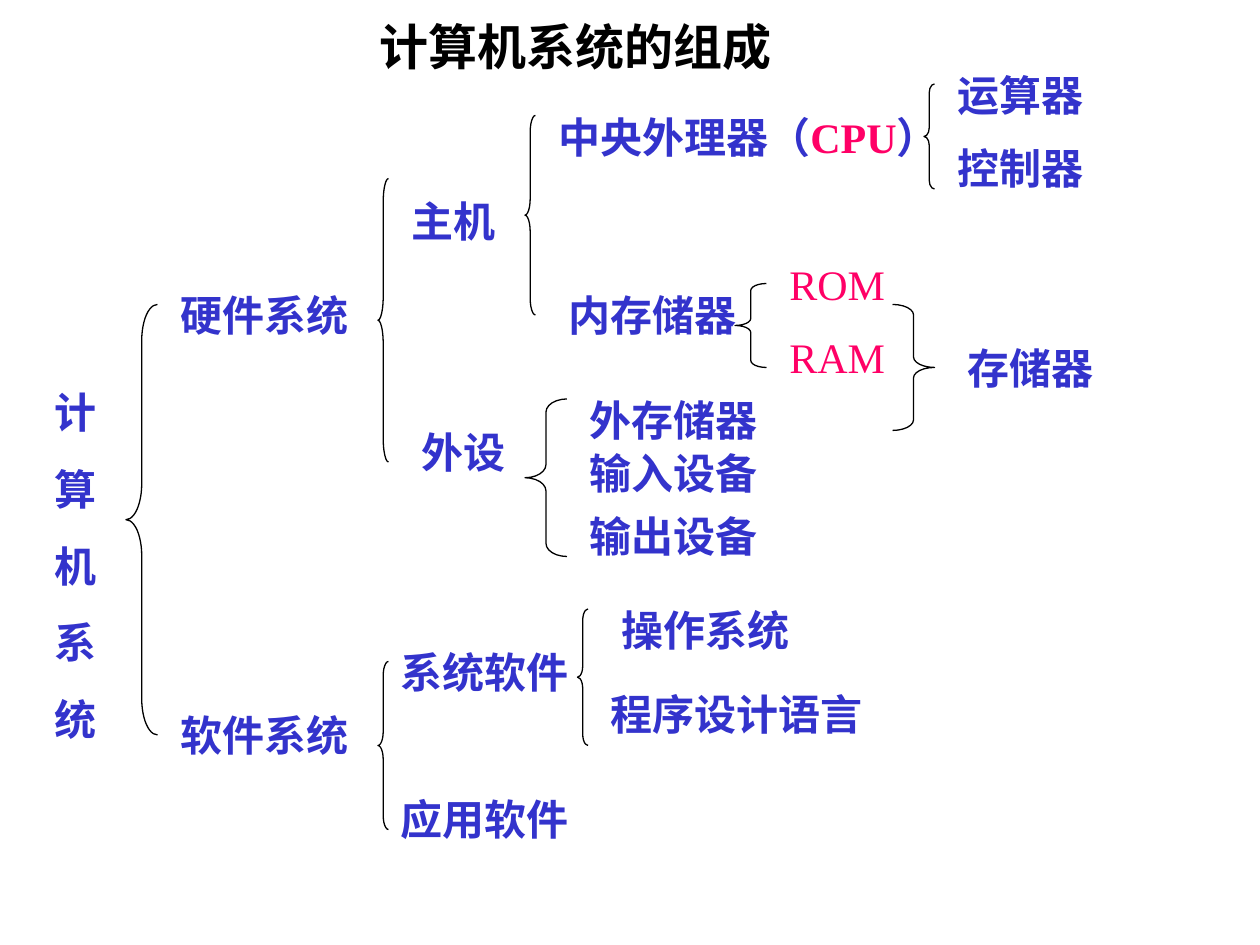
from pptx import Presentation
from pptx.dml.color import RGBColor
from pptx.enum.shapes import MSO_SHAPE
from pptx.enum.text import MSO_AUTO_SIZE
from pptx.util import Inches, Pt

deck = Presentation()
deck.slide_width, deck.slide_height = Inches(10), Inches(7.5)
slide = deck.slides.add_slide(deck.slide_layouts[6])

# Grid of 120 columns by 90 rows
cell = deck.slide_width / 120
BLUE, PINK, BLACK = "3333CC", "FF0066", "000000"


def paint(color, tone):
    color.rgb = RGBColor.from_string(tone)


def write(col, row, wide, high, lines, size=24, bold=True):
    """Each line is a list of (text, colour) runs."""
    box = slide.shapes.add_textbox(*(round(n * cell) for n in (col, row, wide, high)))
    frame = box.text_frame
    frame.word_wrap = True
    frame.auto_size = MSO_AUTO_SIZE.SHAPE_TO_FIT_TEXT
    style = {"name": "Times New Roman", "size": Pt(size), "bold": bold}
    for i, line in enumerate(lines):
        para = frame.add_paragraph() if i else frame.paragraphs[0]
        para.space_before = Pt(size * 0.625)
        for text, tone in line:
            run = para.add_run()
            run.text = text
            for key, value in style.items():
                setattr(run.font, key, value)
            paint(run.font.color, tone)


# Title and the upright root of the tree
write(35, 1, 53, 7, [[("计算机系统的组成", BLACK)]], size=28)
write(4, 36.25, 11, 35.25, [[(sign, BLUE)] for sign in "计算机系统"])

# Blue branches: column, row, width, text
nodes = [
    (16, 27, 25, "硬件系统"), (16, 67, 36, "软件系统"),
    (38, 18, 19, "主机"), (39, 40, 23, "外设"),
    (90, 6, 21, "运算器"), (90, 13, 21, "控制器"),
    (53, 27, 31, "内存储器"), (91, 32, 21, "存储器"),
    (55, 37, 20, "外存储器"), (55, 42, 24, "输入设备"), (55, 48, 25, "输出设备"),
    (37, 61, 26, "系统软件"), (37, 75, 31, "应用软件"),
    (58, 57, 33, "操作系统"), (57, 65, 35, "程序设计语言"),
]
for col, row, wide, text in nodes:
    write(col, row, wide, 6, [[(text, BLUE)]])

# Terms in pink
write(52, 10, 43, 6, [[("中央外理器（", BLUE), ("CPU", PINK), ("）", BLUE)]])
for row, wide, text in [(24, 22, "ROM"), (31, 14, "RAM")]:
    write(74, row, wide, 6, [[(text, PINK)]], bold=False)

# Braces: kind, column, row, width, height
LEFT, RIGHT = MSO_SHAPE.LEFT_BRACE, MSO_SHAPE.RIGHT_BRACE
braces = [
    (LEFT, 12, 29, 3, 41), (LEFT, 36, 17, 1, 27), (LEFT, 50, 11, 1, 19),
    (LEFT, 88, 8, 1, 10), (LEFT, 70, 27, 3, 8), (LEFT, 50, 38, 4, 15),
    (RIGHT, 85, 29, 4, 12), (LEFT, 36, 63, 1, 16), (LEFT, 55, 58, 1, 13),
]
for kind, *spot in braces:
    brace = slide.shapes.add_shape(kind, *(round(n * cell) for n in spot))
    brace.shadow.inherit = False
    brace.fill.background()
    paint(brace.line.color, BLACK)
    brace.line.width = Pt(0.75)
    # Each curl takes a twelfth of the height
    brace.adjustments[0] = spot[3] / spot[2] / 12

deck.save("out.pptx")
